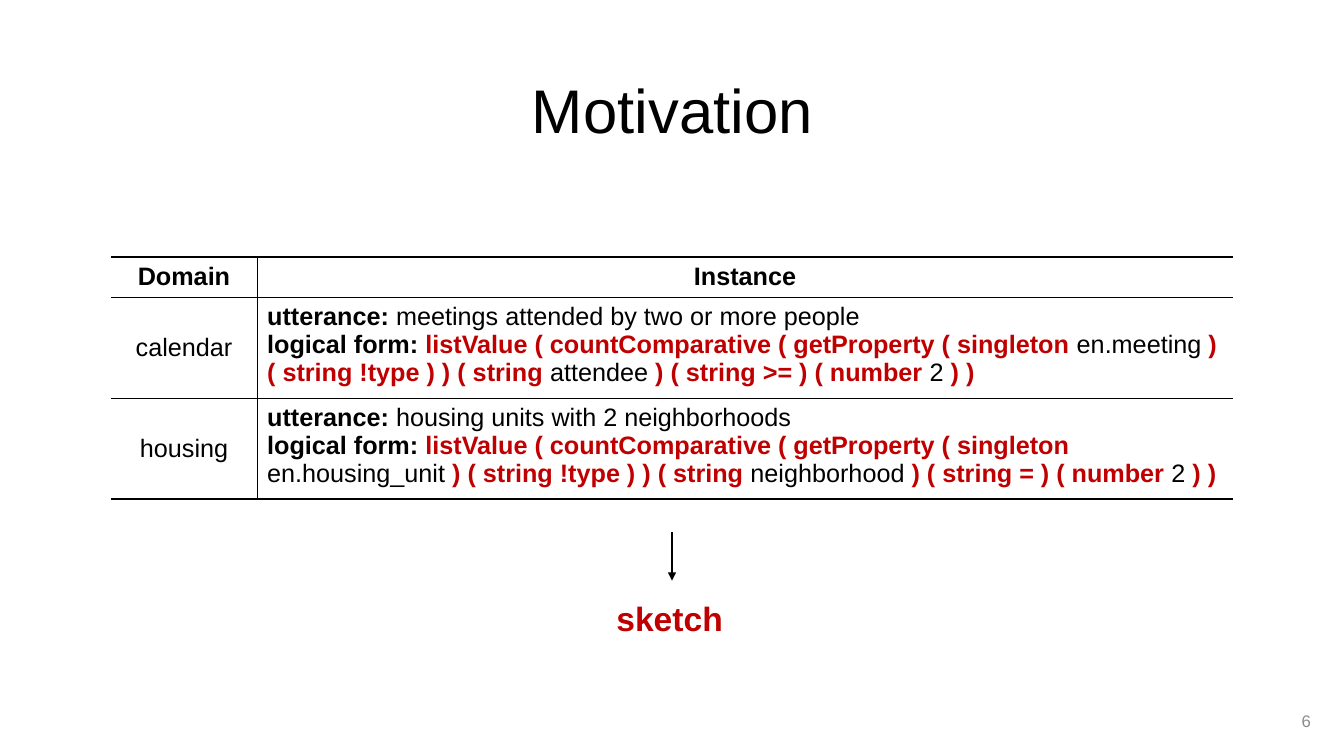
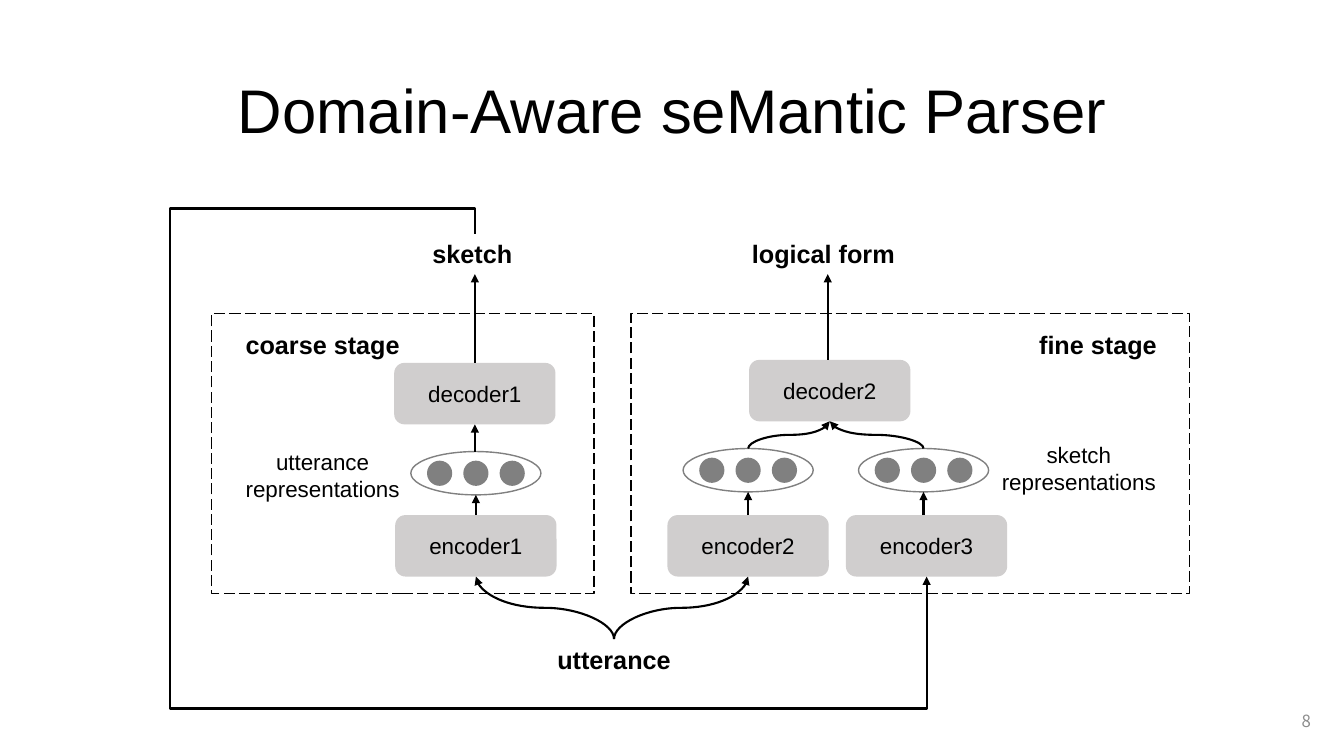
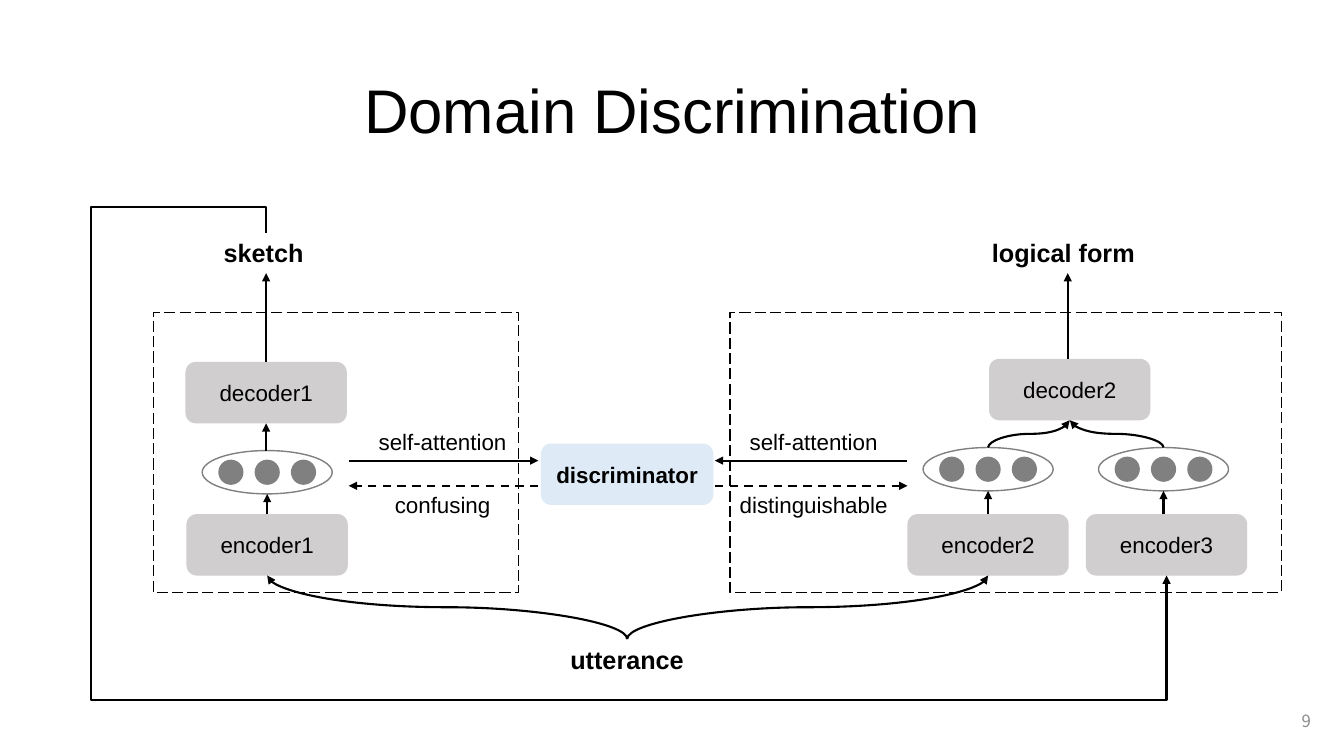
import dataclasses

import lxml.etree
import pptx
import pptx.dml.color
import pptx.enum.dml
import pptx.enum.shapes
import pptx.enum.text
import pptx.oxml.ns
import pptx.util

Inches = pptx.util.Inches
Shape = pptx.enum.shapes.MSO_SHAPE
Connector = pptx.enum.shapes.MSO_CONNECTOR
Dash = pptx.enum.dml.MSO_LINE
Align = pptx.enum.text.PP_ALIGN
Anchor = pptx.enum.text.MSO_ANCHOR
qn = pptx.oxml.ns.qn


@dataclasses.dataclass(frozen=True)
class Theme:
    width: float = 13.33
    height: float = 7.5
    font: str = "Arial"
    number_font: str = "Noto Sans CJK SC"
    black: str = "000000"
    accent: str = "C00000"
    muted: str = "8C8C8C"
    neuron: str = "808080"
    module: str = "D0CECE"
    discriminator: str = "DEEBF7"
    title_size: int = 44
    callout_size: int = 24
    label_size: int = 18
    module_size: int = 16
    number_size: int = 12
    thin: float = 1
    thick: float = 1.5


@dataclasses.dataclass(frozen=True)
class Rows:
    """Top edges of the rows of the parser diagram, from top to bottom."""
    output: float = 2.32
    frame: float = 3.11
    stage: float = 3.22
    coarse_decoder: float = 3.6
    fine_decoder: float = 3.57
    coarse_neurons: float = 4.48
    fine_neurons: float = 4.45
    encoder: float = 5.11
    utterance: float = 6.34


@dataclasses.dataclass(frozen=True)
class Columns:
    """Column centres, frame spans and feedback lanes of one parser diagram."""
    coarse: float
    fine: float
    utterance: float
    coarse_frame: tuple
    fine_frame: tuple
    left_lane: float
    bottom_lane: float
    lift: float = 0


THEME = Theme()
ROWS = Rows()
MODULE = (1.6, 0.61)
NEURONS = (1.29, 0.43)
NEURON, NEURON_STEP = 0.25, 0.36
LABEL_HEIGHT = 0.4
FRAME_HEIGHT = 2.78


def color(value):
    return pptx.dml.color.RGBColor.from_string(value)


def write(frame, paragraphs, size=THEME.label_size, tint=THEME.black, bold=False,
          font=THEME.font, align=Align.CENTER, anchor=Anchor.TOP, wrap=True,
          spacing=None):
    """Fill a text frame; a paragraph is a string or a list of (text, tint, bold)."""
    frame.word_wrap = wrap
    frame.vertical_anchor = anchor
    for index, content in enumerate(paragraphs):
        paragraph = frame.paragraphs[0] if index == 0 else frame.add_paragraph()
        paragraph.alignment = align
        if spacing:
            paragraph.line_spacing = spacing
        runs = [(content, tint, bold)] if isinstance(content, str) else content
        for text, run_tint, run_bold in runs:
            run = paragraph.add_run()
            run.text = text
            run.font.name = font
            run.font.size = pptx.util.Pt(size)
            run.font.bold = run_bold
            run.font.color.rgb = color(run_tint)


def place(shape, left, top, width, height):
    shape.left, shape.top = Inches(left), Inches(top)
    shape.width, shape.height = Inches(width), Inches(height)


def add_label(slide, center, top, *lines, width=1.9, **style):
    height = LABEL_HEIGHT if len(lines) == 1 else 0.64
    box = slide.shapes.add_textbox(Inches(center - width / 2), Inches(top),
                                   Inches(width), Inches(height))
    write(box.text_frame, lines, **style)
    return box


def add_block(slide, kind, left, top, width, height, fill=None, line=None, dash=None):
    block = slide.shapes.add_shape(kind, Inches(left), Inches(top),
                                   Inches(width), Inches(height))
    block.shadow.inherit = False
    if fill:
        block.fill.solid()
        block.fill.fore_color.rgb = color(fill)
    else:
        block.fill.background()
    if line:
        block.line.color.rgb = color(line)
        block.line.width = pptx.util.Pt(THEME.thin)
        block.line.dash_style = dash
    else:
        block.line.fill.background()
    return block


def add_module(slide, center, top, name, width=MODULE[0], fill=THEME.module, bold=False):
    module = add_block(slide, Shape.ROUNDED_RECTANGLE, center - width / 2, top,
                       width, MODULE[1], fill=fill)
    write(module.text_frame, [name], size=THEME.module_size, bold=bold,
          anchor=Anchor.MIDDLE, wrap=False)
    return module


def add_neurons(slide, center, top):
    """Draw a vector as an ellipse around three dots and return the ellipse."""
    width, height = NEURONS
    ellipse = add_block(slide, Shape.OVAL, center - width / 2, top, width, height,
                        line=THEME.neuron)
    for step in (-1, 0, 1):
        add_block(slide, Shape.OVAL, center + step * NEURON_STEP - NEURON / 2,
                  top + (height - NEURON) / 2, NEURON, NEURON, fill=THEME.neuron)
    return ellipse


def add_frame(slide, span, top):
    left, width = span
    add_block(slide, Shape.RECTANGLE, left, top, width, FRAME_HEIGHT,
              line=THEME.black, dash=Dash.LONG_DASH)


def style_arrow(arrow, dash=None):
    arrow.line.color.rgb = color(THEME.black)
    arrow.line.width = pptx.util.Pt(THEME.thick)
    if dash:
        arrow.line.dash_style = dash
    properties = arrow.element.spPr
    lxml.etree.SubElement(properties.find(qn("a:ln")), qn("a:tailEnd"), type="triangle")
    lxml.etree.SubElement(properties, qn("a:effectLst"))


def add_arrow(slide, start, end, dash=None):
    ends = [Inches(value) for value in (*start, *end)]
    style_arrow(slide.shapes.add_connector(Connector.STRAIGHT, *ends), dash)


def top_center(shape):
    return (shape.left + shape.width / 2) / Inches(1), shape.top / Inches(1)


def bottom_center(shape):
    x, y = top_center(shape)
    return x, y + shape.height / Inches(1)


def rise(slide, lower, upper):
    """Draw a vertical arrow into the middle of the upper shape."""
    x, y = bottom_center(upper)
    add_arrow(slide, (x, top_center(lower)[1]), (x, y))


def route(slide, source, target, kind=Connector.CURVE, lanes=None):
    """Join a source's top to a target's bottom; lanes are top y, left x, bottom y."""
    (x1, y1), (x2, y2) = top_center(source), bottom_center(target)
    across, down = x2 - x1, y2 - y1
    arrow = slide.shapes.add_connector(kind, 0, 0, 0, 0)
    arrow.begin_connect(source, 0)
    arrow.end_connect(target, 2)
    width, height = abs(down), abs(across)
    place(arrow, (x1 + x2 - width) / 2, (y1 + y2 - height) / 2, width, height)
    up_right = across > 0 > down
    transform = arrow.element.spPr.find(qn("a:xfrm"))
    transform.set("rot", str((90 if up_right else 270) * 60000))
    transform.set("flipH", str(int(up_right or down > 0)))
    transform.set("flipV", str(int(up_right or across < 0)))
    if lanes:
        geometry = arrow.element.spPr.find(qn("a:prstGeom"))
        geometry.set("prst", "bentConnector5")
        top, left, bottom = lanes
        shares = ((top - y1) / down, (left - x1) / across, (bottom - y1) / down)
        for index, share in enumerate(shares, 1):
            lxml.etree.SubElement(geometry.find(qn("a:avLst")), qn("a:gd"),
                                  name=f"adj{index}", fmla=f"val {round(share * 100000)}")
    style_arrow(arrow)


def add_slide(presentation, title, number, number_font=THEME.number_font):
    slide = presentation.slides.add_slide(presentation.slide_layouts[5])
    heading = slide.shapes.title
    place(heading, 0.92, 0.4, 11.5, 1.45)
    write(heading.text_frame, [title], size=THEME.title_size, anchor=Anchor.MIDDLE,
          spacing=0.9)
    box = slide.shapes.add_textbox(Inches(10.1), Inches(6.95), Inches(3), Inches(0.4))
    write(box.text_frame, [str(number)], size=THEME.number_size, tint=THEME.muted,
          font=number_font, align=Align.RIGHT, anchor=Anchor.MIDDLE)
    return slide


def set_borders(cell, sides):
    """Draw the named sides (L, R, T, B) in black and hide the others."""
    properties = cell._tc.get_or_add_tcPr()
    for index, side in enumerate("LRTB"):
        line = lxml.etree.Element(qn(f"a:ln{side}"), w=str(pptx.util.Pt(THEME.thin)))
        if side in sides:
            fill = lxml.etree.SubElement(line, qn("a:solidFill"))
            lxml.etree.SubElement(fill, qn("a:srgbClr"), val=THEME.black)
        else:
            lxml.etree.SubElement(line, qn("a:noFill"))
        properties.insert(index, line)


def instance(utterance, logical_form):
    """Build cell paragraphs; bars in the form switch between sketch and detail."""
    form = [("logical form: ", THEME.black, True)]
    for index, part in enumerate(logical_form.split("|")):
        is_sketch = index % 2 == 0
        form.append((part, THEME.accent if is_sketch else THEME.black, is_sketch))
    return [[("utterance:", THEME.black, True), (" " + utterance, THEME.black, False)], form]


def add_instance_table(slide, rows, widths, heights):
    table = slide.shapes.add_table(len(rows), len(widths), Inches(1.1), Inches(2.55),
                                   Inches(sum(widths)), Inches(sum(heights))).table
    table.first_row = table.horz_banding = False
    for column, width in zip(table.columns, widths):
        column.width = Inches(width)
    for row_index, (row, height) in enumerate(zip(rows, heights)):
        table.rows[row_index].height = Inches(height)
        for column_index, paragraphs in enumerate(row):
            cell = table.cell(row_index, column_index)
            is_instance = row_index > 0 and column_index == 1
            write(cell.text_frame, paragraphs, bold=row_index == 0,
                  align=Align.LEFT if is_instance else Align.CENTER)
            cell.vertical_anchor = Anchor.TOP if is_instance else Anchor.MIDDLE
            cell.fill.background()
            set_borders(cell, "RTB" if column_index == 0 else "LTB")


def add_parser(slide, columns):
    """Draw the coarse and fine stages with their arrows."""
    lift, fine = columns.lift, columns.fine
    add_frame(slide, columns.coarse_frame, ROWS.frame - lift)
    add_frame(slide, columns.fine_frame, ROWS.frame - lift)

    sketch, logical_form = (
        add_label(slide, center, ROWS.output - lift, name, width=width, bold=True,
                  align=Align.LEFT)
        for center, name, width in ((columns.coarse - 0.01, "sketch", 1.04),
                                    (fine + 0.79, "logical form", 1.7)))
    utterance = add_label(slide, columns.utterance, ROWS.utterance, "utterance",
                          width=1.33, bold=True)

    decoder1 = add_module(slide, columns.coarse - 0.01, ROWS.coarse_decoder - lift, "decoder1")
    decoder2 = add_module(slide, fine + 0.81, ROWS.fine_decoder - lift, "decoder2")
    encoder1, encoder2, encoder3 = (
        add_module(slide, center, ROWS.encoder - lift, f"encoder{index}")
        for index, center in enumerate((columns.coarse, fine, fine + 1.77), 1))
    neurons1 = add_neurons(slide, columns.coarse, ROWS.coarse_neurons - lift)
    neurons2, neurons3 = (add_neurons(slide, center, ROWS.fine_neurons - lift)
                          for center in (fine, fine + 1.74))

    for lower, upper in ((encoder1, neurons1), (neurons1, decoder1), (decoder1, sketch),
                         (encoder2, neurons2), (encoder3, neurons3),
                         (decoder2, logical_form)):
        rise(slide, lower, upper)
    for source, target in ((utterance, encoder1), (utterance, encoder2),
                           (neurons2, decoder2), (neurons3, decoder2)):
        route(slide, source, target)
    lanes = (ROWS.output - lift - 0.25, columns.left_lane, columns.bottom_lane)
    route(slide, sketch, encoder3, kind=Connector.ELBOW, lanes=lanes)


def add_motivation(presentation):
    slide = add_slide(presentation, "Motivation", 6, number_font=THEME.font)
    calendar = instance(
        "meetings attended by two or more people",
        "listValue ( countComparative ( getProperty ( singleton |en.meeting |"
        ") ( string !type ) ) ( string |attendee| ) ( string >= ) ( number |2| ) )")
    housing = instance(
        "housing units with 2 neighborhoods",
        "listValue ( countComparative ( getProperty ( singleton |en.housing_unit |"
        ") ( string !type ) ) ( string |neighborhood| ) ( string = ) ( number |2| ) )")
    rows = [(["Domain"], ["Instance"]), (["calendar"], calendar), (["housing"], housing)]
    add_instance_table(slide, rows, widths=(1.45, 9.68), heights=(0.39, 0.41, 0.41))
    middle = THEME.width / 2
    add_arrow(slide, (middle, 5.28), (middle, 5.76))
    add_label(slide, middle, 5.88, "sketch", width=1.3, size=THEME.callout_size,
              tint=THEME.accent, bold=True, align=Align.LEFT)


def add_domain_aware_parser(presentation):
    slide = add_slide(presentation, "Domain-Aware seMantic Parser", 8)
    add_parser(slide, Columns(coarse=4.72, fine=7.42, utterance=6.09,
                              coarse_frame=(2.1, 3.79), fine_frame=(6.26, 5.54),
                              left_lane=1.68, bottom_lane=7.03))
    add_label(slide, 3.2, ROWS.stage, "coarse stage", bold=True)
    add_label(slide, 10.89, ROWS.stage, "fine stage", bold=True)
    for center, top, subject in ((3.2, 4.4, "utterance"), (10.7, 4.33, "sketch")):
        add_label(slide, center, top, subject, "representations", size=THEME.module_size)


def add_domain_discrimination(presentation):
    slide = add_slide(presentation, "Domain Discrimination", 9)
    add_parser(slide, Columns(coarse=2.65, fine=9.8, utterance=6.22,
                              coarse_frame=(1.52, 3.62), fine_frame=(7.24, 5.47),
                              left_lane=0.9, bottom_lane=6.94, lift=0.01))
    add_module(slide, 6.22, 4.4, "discriminator", width=1.71,
               fill=THEME.discriminator, bold=True)
    attention, feedback = 4.57, 4.82
    for outer, inner, center, response in ((3.46, 5.34, 4.39, "confusing"),
                                           (9, 7.09, 8.07, "distinguishable")):
        add_arrow(slide, (outer, attention), (inner, attention))
        add_arrow(slide, (inner, feedback), (outer, feedback), dash=Dash.DASH)
        add_label(slide, center, attention - 0.37, "self-attention", size=THEME.module_size)
        add_label(slide, center, feedback, response, size=THEME.module_size)


def main():
    presentation = pptx.Presentation()
    presentation.slide_width = Inches(THEME.width)
    presentation.slide_height = Inches(THEME.height)
    add_motivation(presentation)
    add_domain_aware_parser(presentation)
    add_domain_discrimination(presentation)
    presentation.save("out.pptx")


if __name__ == "__main__":
    main()
